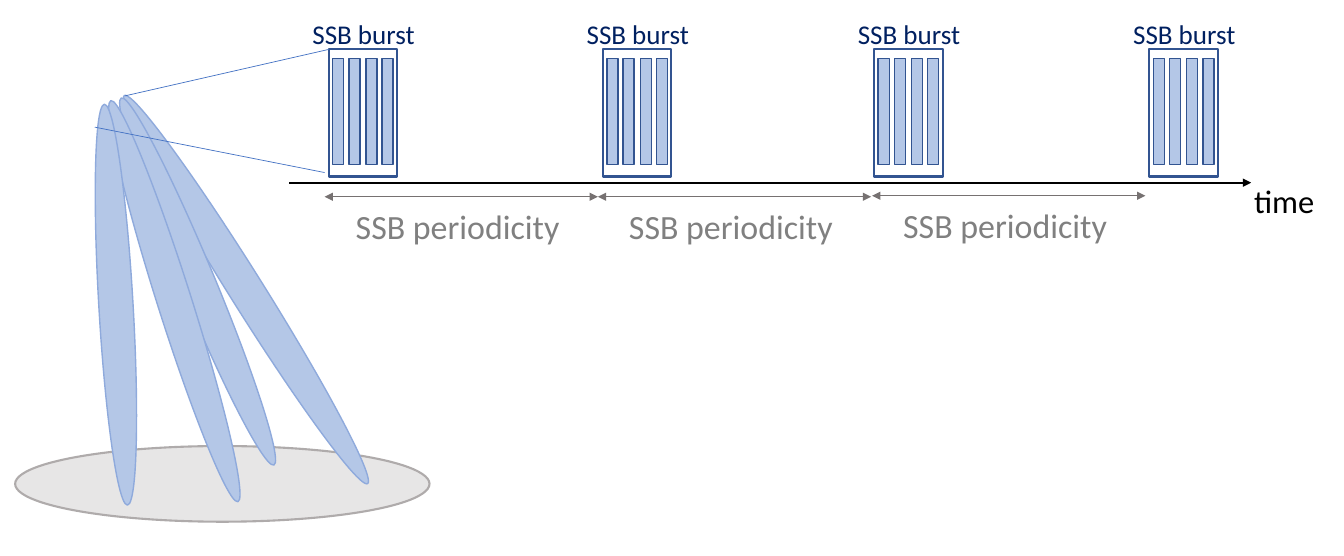
from dataclasses import dataclass
from typing import NamedTuple

from lxml import etree
from pptx import Presentation
from pptx.dml.color import RGBColor
from pptx.enum.shapes import MSO_CONNECTOR, MSO_SHAPE
from pptx.enum.text import MSO_AUTO_SIZE
from pptx.oxml.ns import qn
from pptx.util import Pt

EMU_PER_PX = 9144
STRAIGHT = MSO_CONNECTOR.STRAIGHT
ELLIPSE = MSO_SHAPE.OVAL
RECTANGLE = MSO_SHAPE.RECTANGLE
GROW_TO_TEXT = MSO_AUTO_SIZE.SHAPE_TO_FIT_TEXT
BURST_COUNT_BARS = 4


@dataclass(frozen=True)
class Theme:
    font: str = "Calibri"
    beam_fill: str = "B4C7E7"
    beam_line: str = "8FAADC"
    ground_fill: str = "E7E6E6"
    ground_line: str = "AFABAB"
    burst_line: str = "325491"
    burst_text: str = "002060"
    axis: str = "000000"
    period_line: str = "767171"
    period_text: str = "808080"
    zoom_line: str = "4472C4"
    burst_size: float = 19.3
    axis_size: float = 23.2
    period_size: float = 24.2
    thick: float = 1.5
    medium: float = 1
    thin: float = 0.5


class Box(NamedTuple):
    left: int
    top: int
    width: int
    height: int

    def inner(self, left, top, width, height):
        return Box(self.left + left, self.top + top, width, height)


THEME = Theme()


def px(value):
    return value * EMU_PER_PX


def add_outline(slide, kind, box, fill, line, weight, rotation=0):
    shape = slide.shapes.add_shape(kind, *map(px, box))
    shape.shadow.inherit = False
    shape.rotation = rotation
    if fill:
        shape.fill.solid()
        shape.fill.fore_color.rgb = RGBColor.from_string(fill)
    else:
        shape.fill.background()
    shape.line.color.rgb = RGBColor.from_string(line)
    shape.line.width = Pt(weight)


def add_line(slide, start, end, color, weight, arrow_ends=()):
    connector = slide.shapes.add_connector(STRAIGHT, *map(px, (*start, *end)))
    connector.line.color.rgb = RGBColor.from_string(color)
    connector.line.width = Pt(weight)
    for arrow_end in arrow_ends:
        etree.SubElement(connector.line._ln, qn(f"a:{arrow_end}"), type="triangle")
    etree.SubElement(connector._element.spPr, qn("a:effectLst"))


def add_label(slide, box, text, size, color, wrap=False):
    frame = slide.shapes.add_textbox(*map(px, box)).text_frame
    frame.word_wrap = wrap
    frame.auto_size = GROW_TO_TEXT
    run = frame.paragraphs[0].add_run()
    run.text = text
    run.font.name = THEME.font
    run.font.size = Pt(size)
    run.font.color.rgb = RGBColor.from_string(color)


def draw_beams(slide, box):
    ground = box.inner(0, 382, 411, 75)
    add_outline(slide, ELLIPSE, ground, THEME.ground_fill, THEME.ground_line, THEME.thick)
    beams = [
        (212, 0, 454, 327.9),
        (164, 22, 394, 337.4),
        (141, 30, 417, 342.4),
        (83, 43, 398, 356.7),
    ]
    for left, top, height, rotation in beams:
        beam = box.inner(left, top, 34, height)
        add_outline(slide, ELLIPSE, beam, THEME.beam_fill, THEME.beam_line,
                    THEME.medium, rotation)


def draw_time_axis(slide, box):
    add_line(slide, (box.left, box.top), (box.left + box.width, box.top),
             THEME.axis, THEME.thick, ("tailEnd",))
    add_label(slide, box.inner(box.width - 7, -7, 81, 49), "time",
              THEME.axis_size, THEME.axis)


def draw_period(slide, box):
    add_line(slide, (box.left, box.top), (box.left + box.width, box.top),
             THEME.period_line, THEME.medium, ("headEnd", "tailEnd"))
    add_label(slide, box.inner(21, 4, 224, 51), "SSB periodicity",
              THEME.period_size, THEME.period_text)


def draw_burst(slide, box):
    add_outline(slide, RECTANGLE, box, None, THEME.burst_line, THEME.thick)
    bar_width, margin = 11, 4
    span = box.width - bar_width - 2 * margin
    for index in range(BURST_COUNT_BARS):
        offset = margin + round(index * span / (BURST_COUNT_BARS - 1))
        add_outline(slide, RECTANGLE, box.inner(offset, 9, bar_width, 105),
                    THEME.beam_fill, THEME.burst_line, THEME.medium)
    add_label(slide, box.inner(-26, -37, 127, 43), "SSB burst",
              THEME.burst_size, THEME.burst_text, wrap=True)


def draw_zoom_lines(slide, box):
    right = box.left + box.width
    bottom = box.top + box.height
    add_line(slide, (box.left + 30, box.top + 46), (right, box.top),
             THEME.zoom_line, THEME.thin)
    add_line(slide, (box.left, box.top + 77), (right - 4, bottom),
             THEME.zoom_line, THEME.thin)


def main():
    presentation = Presentation()
    presentation.slide_width = px(1333)
    presentation.slide_height = px(551)
    slide = presentation.slides.add_slide(presentation.slide_layouts[6])

    draw_beams(slide, Box(15, 60, 411, 457))
    draw_time_axis(slide, Box(287, 181, 954, 0))
    for left, top in [(322, 195), (593, 195), (865, 194)]:
        draw_period(slide, Box(left, top, 271, 55))
    for left in (326, 598, 867, 1140):
        draw_burst(slide, Box(left, 49, 68, 126))
    draw_zoom_lines(slide, Box(94, 49, 232, 122))

    presentation.save("out.pptx")


if __name__ == "__main__":
    main()
